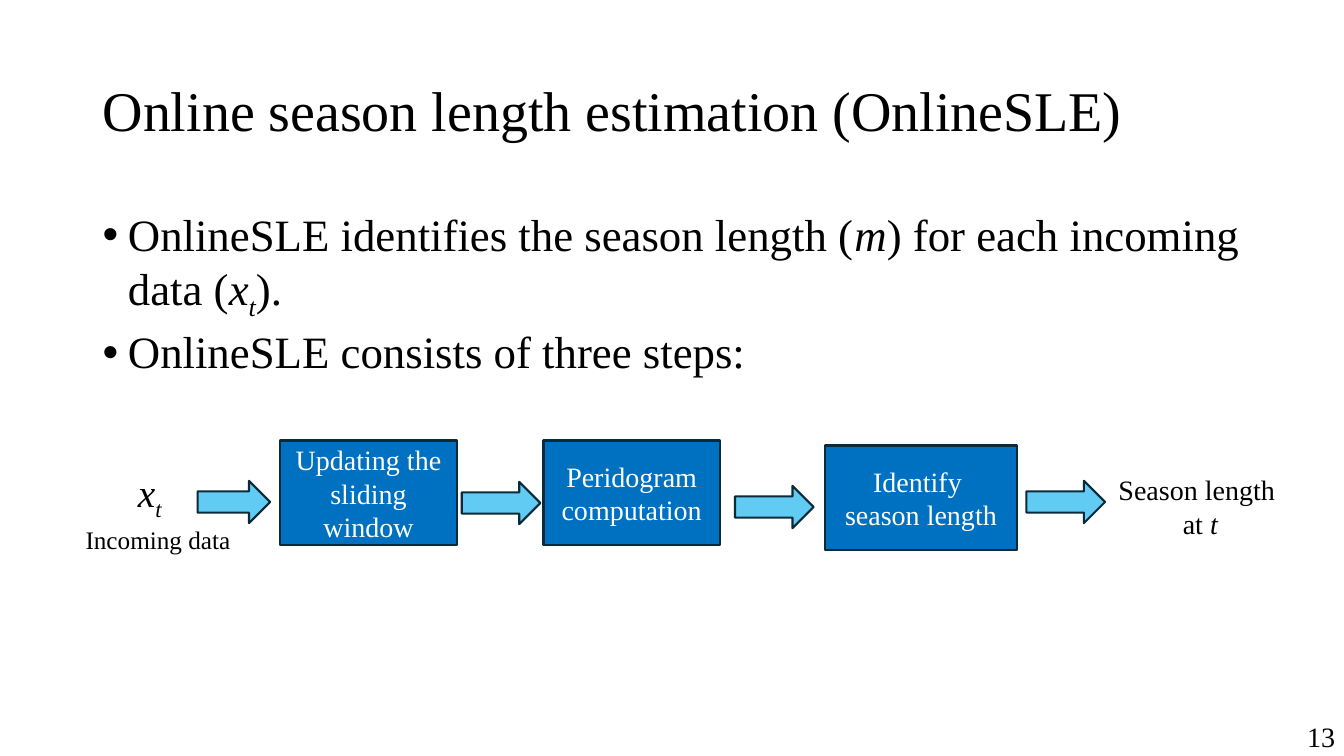
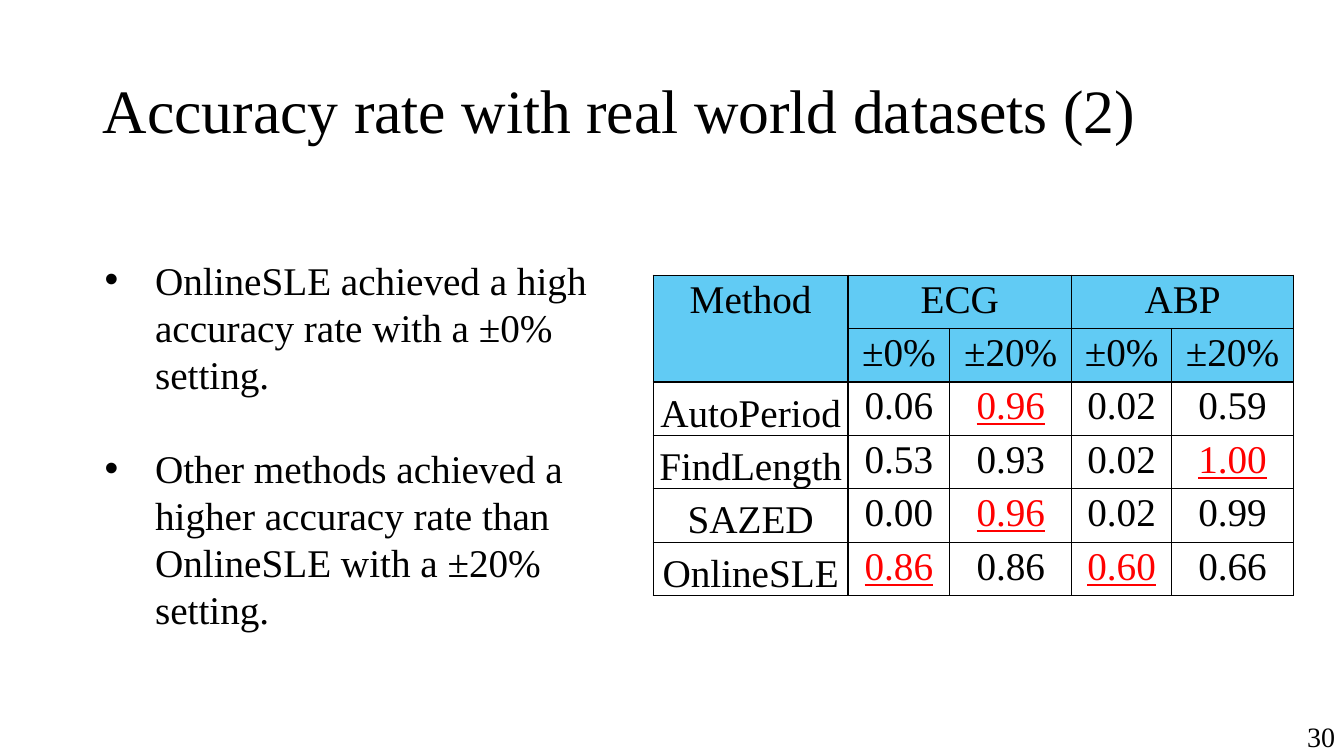
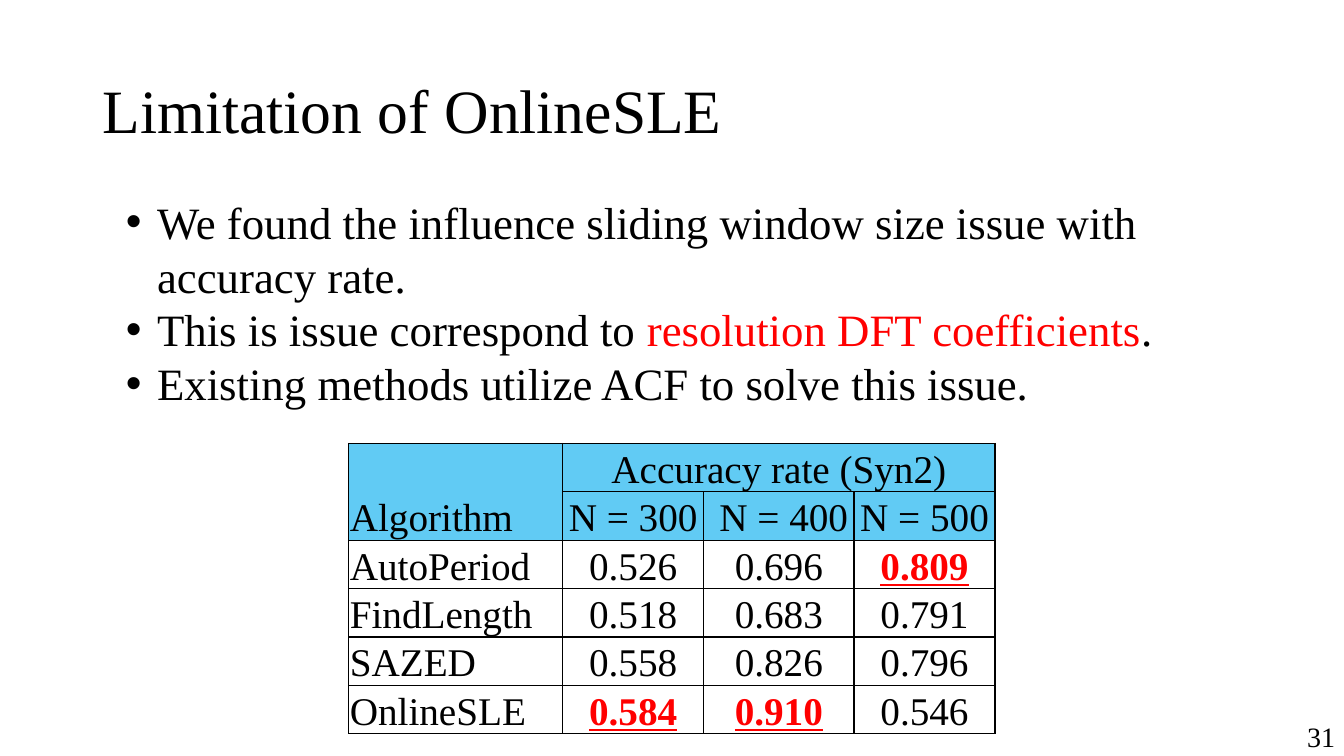
from lxml.etree import SubElement
from pptx import Presentation
from pptx.dml.color import RGBColor
from pptx.enum.shapes import MSO_SHAPE as Preset
from pptx.enum.text import MSO_ANCHOR as Anchor, PP_ALIGN as Align
from pptx.oxml.ns import qn
from pptx.util import Inches, Pt

FONT = "Times New Roman"
BLACK = RGBColor(0x00, 0x00, 0x00)
WHITE = RGBColor(0xFF, 0xFF, 0xFF)
RED = RGBColor(0xFF, 0x00, 0x00)
BLUE = RGBColor(0x00, 0x70, 0xC0)
SKY = RGBColor(0x61, 0xCB, 0xF4)
NAVY = RGBColor(0x09, 0x2A, 0x39)

ITALIC = {"italic": True}
SUBSCRIPT = {"italic": True, "baseline": -25000}
BEST = {"color": RED, "underline": True}
BOLD_BEST = {**BEST, "bold": True}

CENTERED = {"size": 28, "align": Align.CENTER, "margins": (0.1, 0.03, 0.1, 0.03)}
TIGHT = {"size": 28, "anchor": Anchor.BOTTOM, "margins": (0.01, 0.01, 0.01, 0)}
TIGHT_CENTERED = {**TIGHT, "align": Align.CENTER}
HEADER_ROWS = 2


def add_run(paragraph, text, size, color, italic=False, bold=False, underline=False, baseline=0):
    run = paragraph.add_run()
    run.text = text
    font = run.font
    font.name, font.size, font.color.rgb = FONT, Pt(size), color
    font.italic, font.bold, font.underline = italic, bold, underline
    if baseline:
        run._r.get_or_add_rPr().set("baseline", str(baseline))


def add_bullet(paragraph, indent):
    properties = paragraph._p.get_or_add_pPr()
    properties.set("marL", str(Inches(indent)))
    properties.set("indent", str(-Inches(indent)))
    SubElement(properties, qn("a:buFont")).set("typeface", "Arial")
    SubElement(properties, qn("a:buChar")).set("char", "•")


def write_text(holder, paragraphs, size, color=BLACK, align=Align.LEFT, anchor=Anchor.TOP,
               margins=(0.1, 0.05, 0.1, 0.05), line_spacing=1.0, gap=0, indent=None):
    holder.vertical_anchor = anchor
    (holder.margin_left, holder.margin_top,
     holder.margin_right, holder.margin_bottom) = map(Inches, margins)
    frame = getattr(holder, "text_frame", holder)
    frame.word_wrap = True
    for index, runs in enumerate(paragraphs):
        paragraph = frame.add_paragraph() if index else frame.paragraphs[0]
        if indent:
            add_bullet(paragraph, indent)
        paragraph.alignment = align
        paragraph.line_spacing = line_spacing
        if index and gap:
            paragraph.space_before = Pt(gap)
        for run in [runs] if isinstance(runs, (str, tuple)) else runs:
            text, style = (run, {}) if isinstance(run, str) else run
            add_run(paragraph, text, **{"size": size, "color": color, **style})


def add_text(slide, place, paragraphs, **text_format):
    box = slide.shapes.add_textbox(*map(Inches, place))
    write_text(box.text_frame, paragraphs, **text_format)


def add_block(slide, preset, place, fill):
    block = slide.shapes.add_shape(preset, *map(Inches, place))
    block.shadow.inherit = False
    block.fill.solid()
    block.fill.fore_color.rgb = fill
    block.line.color.rgb = NAVY
    block.line.width = Pt(1.5)
    return block


def add_step(slide, left, top, width, lines):
    step = add_block(slide, Preset.RECTANGLE, (left, top, width, 1.04), BLUE)
    write_text(step.text_frame, lines, size=20, color=WHITE,
               align=Align.CENTER, anchor=Anchor.MIDDLE)


def add_borders(cell):
    properties = cell._tc.get_or_add_tcPr()
    for side in ("lnL", "lnR", "lnT", "lnB"):
        border = SubElement(properties, qn(f"a:{side}"))
        border.set("w", str(Pt(1)))
        fill = SubElement(border, qn("a:solidFill"))
        SubElement(fill, qn("a:srgbClr")).set("val", str(BLACK))


def add_results(slide, left, top, widths, row_height, rows, spans, corner, labels, values):
    place = (left, top, sum(widths), row_height * len(rows))
    table = slide.shapes.add_table(len(rows), len(widths), *map(Inches, place)).table
    table.first_row = table.horz_banding = False
    for column, width in zip(table.columns, widths):
        column.width = Inches(width)
    for r, row in enumerate(rows):
        table.rows[r].height = Inches(row_height)
        for c, content in enumerate(row):
            cell = table.cell(r, c)
            add_borders(cell)
            cell.fill.solid()
            cell.fill.fore_color.rgb = SKY if r < HEADER_ROWS else WHITE
            first_column = corner if r < HEADER_ROWS else labels
            write_text(cell, [content] if content else [[]], **(values if c else first_column))
    for start, end in spans:
        table.cell(*start).merge(table.cell(*end))


def add_page(deck, title, number, title_size=44):
    slide = deck.slides.add_slide(deck.slide_layouts[6])
    add_text(slide, (0.92, 0.4, 11.5, 1.45), [title], size=title_size,
             anchor=Anchor.MIDDLE, line_spacing=0.9)
    add_text(slide, (11.47, 7.1, 1.87, 0.4), [str(number)], size=20,
             align=Align.RIGHT, anchor=Anchor.MIDDLE)
    return slide


def build_overview(deck):
    slide = add_page(deck, "Online season length estimation (OnlineSLE)", 13, title_size=40)
    add_text(slide, (0.92, 2.06, 11.69, 2.66), [
        ["OnlineSLE identifies the season length (", ("m", ITALIC),
         ") for each incoming data (", ("x", ITALIC), ("t", SUBSCRIPT), ")."],
        "OnlineSLE consists of three steps:",
    ], size=32, line_spacing=0.9, gap=10, indent=0.25)
    add_text(slide, (1.27, 4.6, 0.6, 0.57), [[("x", ITALIC), ("t", SUBSCRIPT)]], size=28)
    add_text(slide, (0.75, 5.15, 1.91, 0.4), ["Incoming data"], size=18)
    add_step(slide, 2.78, 4.37, 1.75, ["Updating the sliding window"])
    add_step(slide, 5.39, 4.37, 1.75, ["Peridogram", "computation"])
    add_step(slide, 8.18, 4.42, 1.91, ["Identify ", "season length"])
    add_text(slide, (10.7, 4.64, 2.41, 0.77), ["Season length ", ["at ", ("t", ITALIC)]],
             size=20, align=Align.CENTER)
    for left, top, width in ((1.96, 4.77, 0.72), (4.58, 4.78, 0.78),
                             (7.29, 4.82, 0.78), (10.18, 4.77, 0.78)):
        add_block(slide, Preset.RIGHT_ARROW, (left, top, width, 0.42), SKY)


def build_accuracy(deck):
    slide = add_page(deck, "Accuracy rate with real world datasets (2)", 30)
    add_results(slide, 6.48, 2.73, (1.93, 1.01, 1.21, 0.99, 1.21), 0.53, [
        ("Method", "ECG", None, "ABP", None),
        (None, "±0%", "±20%", "±0%", "±20%"),
        ("AutoPeriod", "0.06", ("0.96", BEST), "0.02", "0.59"),
        ("FindLength", "0.53", "0.93", "0.02", ("1.00", BEST)),
        ("SAZED", "0.00", ("0.96", BEST), "0.02", "0.99"),
        ("OnlineSLE", ("0.86", BEST), "0.86", ("0.60", BEST), "0.66"),
    ], spans=[((0, 0), (1, 0)), ((0, 1), (0, 2)), ((0, 3), (0, 4))],
        corner=CENTERED, labels=TIGHT_CENTERED, values=CENTERED)
    add_text(slide, (0.94, 2.49, 5.53, 3.87), [
        "OnlineSLE achieved a high accuracy rate with a ±0% setting.",
        "Other methods achieved a higher accuracy rate than OnlineSLE with a ±20% setting.",
    ], size=28, gap=33.5, indent=0.5)


def build_limitation(deck):
    slide = add_page(deck, "Limitation of OnlineSLE", 31)
    add_text(slide, (1.15, 1.88, 11.46, 2.79), [
        "We found the influence sliding window size issue with accuracy rate.",
        ["This is issue correspond to ", ("resolution DFT coefficients", {"color": RED}), "."],
        "Existing methods utilize ACF to solve this issue.",
    ], size=32, indent=0.31)
    add_results(slide, 3.46, 4.4, (2.12, 1.4, 1.49, 1.4), 0.48, [
        ("Algorithm", "Accuracy rate (Syn2)", None, None),
        (None, "N = 300", " N = 400", "N = 500"),
        ("AutoPeriod", "0.526", "0.696", ("0.809", BOLD_BEST)),
        ("FindLength", "0.518", "0.683", "0.791"),
        ("SAZED", "0.558", "0.826", "0.796"),
        ("OnlineSLE", ("0.584", BOLD_BEST), ("0.910", BOLD_BEST), "0.546"),
    ], spans=[((0, 0), (1, 0)), ((0, 1), (0, 3))],
        corner=TIGHT, labels=TIGHT, values=TIGHT_CENTERED)


def main():
    deck = Presentation()
    deck.slide_width, deck.slide_height = Inches(13.33), Inches(7.5)
    build_overview(deck)
    build_accuracy(deck)
    build_limitation(deck)
    deck.save("out.pptx")


if __name__ == "__main__":
    main()
